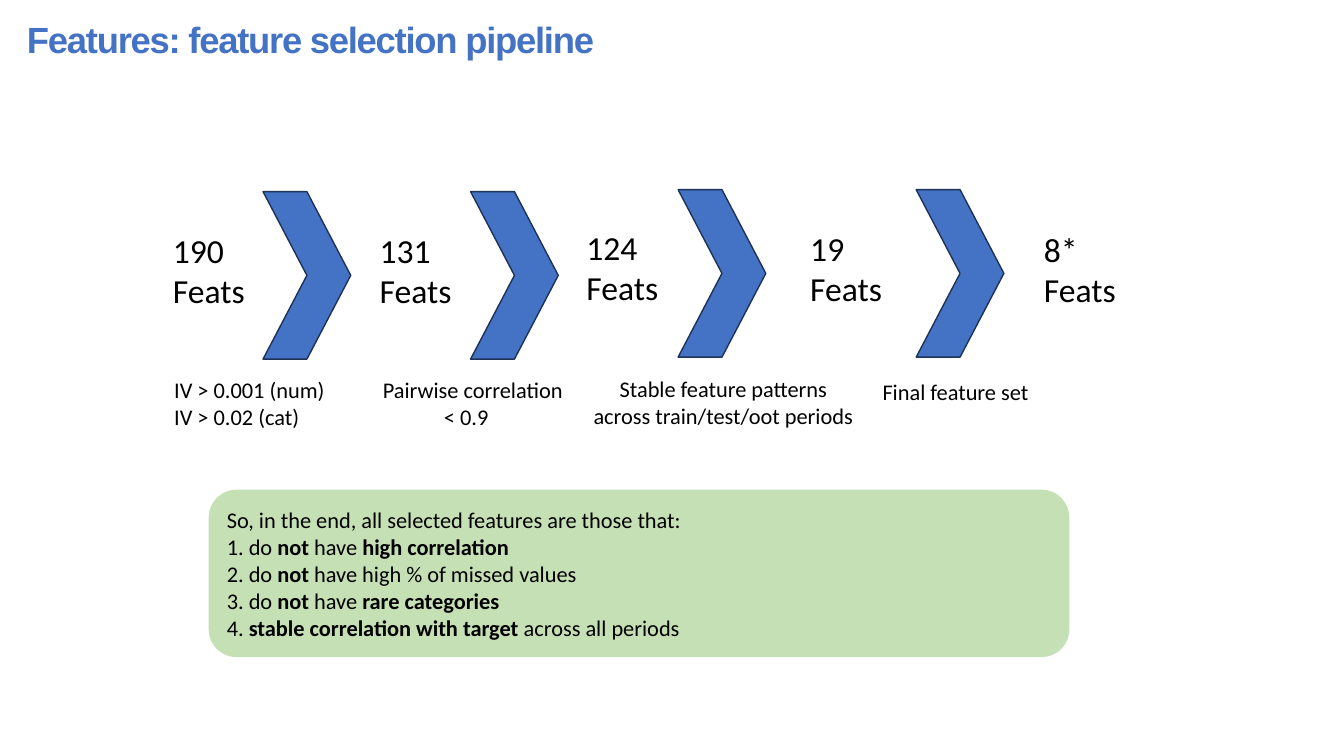
from dataclasses import dataclass

from pptx import Presentation
from pptx.dml.color import RGBColor
from pptx.enum.shapes import MSO_SHAPE as Shape
from pptx.enum.text import MSO_ANCHOR as Anchor, MSO_AUTO_SIZE as AutoSize, PP_ALIGN as Align
from pptx.util import Cm, Pt


@dataclass(frozen=True)
class Theme:
    blue: RGBColor = RGBColor.from_string("4472C4")
    navy: RGBColor = RGBColor.from_string("1E3256")
    green: RGBColor = RGBColor.from_string("C5E0B4")
    black: RGBColor = RGBColor.from_string("000000")
    heading_font: str = "Arial"
    body_font: str = "Calibri"
    title: int = 26
    count: int = 24
    body: int = 16


THEME = Theme()

COUNTS = [
    ("190", 4.11, 5.66),
    ("131", 9.32, 5.66),
    ("124", 14.53, 5.59),
    ("19", 20.17, 5.61),
    ("8*", 26.06, 5.64),
]
CHEVRONS = [(6.63, 4.83), (11.86, 4.83), (17.09, 4.78), (23.09, 4.78)]
SUMMARY = [
    "So, in the end, all selected features are those that:",
    "1. do **not** have **high correlation**",
    "2. do **not** have high % of missed values",
    "3. do **not** have **rare categories**",
    "4. **stable correlation with target** across all periods",
]


def write_lines(tf, lines, size, align=Align.LEFT):
    tf.word_wrap = True
    for i, line in enumerate(lines):
        p = tf.paragraphs[0] if i == 0 else tf.add_paragraph()
        p.alignment = align
        p.font.name = THEME.body_font
        p.font.size = Pt(size)
        p.font.color.rgb = THEME.black
        for j, part in enumerate(line.split("**")):
            if part:
                r = p.add_run()
                r.text = part
                if j % 2:
                    r.font.bold = True


def add_text(s, box, lines, size, align=Align.LEFT):
    sp = s.shapes.add_textbox(*map(Cm, box))
    tf = sp.text_frame
    write_lines(tf, lines, size, align)
    tf.auto_size = AutoSize.SHAPE_TO_FIT_TEXT
    return tf


def add_title(s, text):
    p = add_text(s, (0.43, 0.3, 32.26, 1.37), [text], THEME.title).paragraphs[0]
    p.font.name = THEME.heading_font
    p.font.bold = True
    p.font.color.rgb = THEME.blue
    p.runs[0]._r.get_or_add_rPr().set("spc", "-90")


def add_filled(s, kind, box, fill):
    sp = s.shapes.add_shape(kind, *map(Cm, box))
    sp.shadow.inherit = False
    sp.fill.solid()
    sp.fill.fore_color.rgb = fill
    return sp


def add_chevron(s, left, top):
    sp = add_filled(s, Shape.CHEVRON, (left, top, 2.21, 4.22), THEME.blue)
    sp.line.color.rgb = THEME.navy
    sp.line.width = Pt(1)


def add_summary(s, lines):
    sp = add_filled(s, Shape.ROUNDED_RECTANGLE, (5.26, 12.34, 21.69, 4.22), THEME.green)
    sp.line.fill.background()
    sp.text_frame.vertical_anchor = Anchor.MIDDLE
    write_lines(sp.text_frame, lines, THEME.body)


def add_captions(s):
    add_text(s, (4.14, 9.35, 4.5, 1.63), ["IV > 0.001 (num)", "IV > 0.02 (cat)"], THEME.body)
    pairwise = add_text(s, (9.4, 9.35, 5.38, 1.63), ["Pairwise correlation", "< 0.9"], THEME.body)
    pairwise.paragraphs[1]._p.get_or_add_pPr().set("marL", str(Cm(1.54)))
    add_text(s, (14.6, 9.32, 7.26, 2.31),
             ["Stable feature patterns across train/test/oot periods"], THEME.body, Align.CENTER)
    add_text(s, (20.45, 9.4, 7.26, 0.94), ["Final feature set"], THEME.body, Align.CENTER)


def main():
    prs = Presentation()
    prs.slide_width, prs.slide_height = Cm(33.87), Cm(19.05)
    s = prs.slides.add_slide(prs.slide_layouts[6])
    add_title(s, "Features: feature selection pipeline")
    add_summary(s, SUMMARY)
    for left, top in CHEVRONS:
        add_chevron(s, left, top)
    for count, left, top in COUNTS:
        add_text(s, (left, top, 3.38, 2.31), [count, "Feats"], THEME.count)
    add_captions(s)
    prs.save("out.pptx")


if __name__ == "__main__":
    main()
